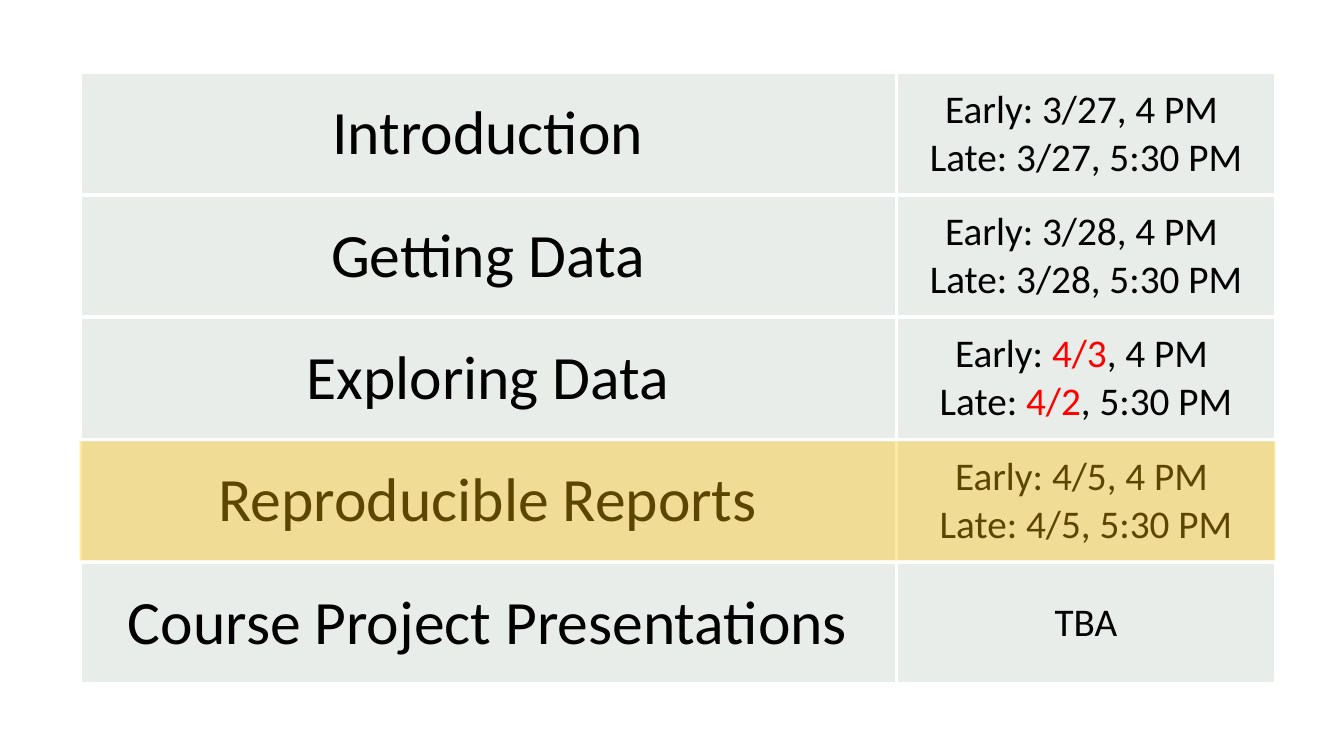
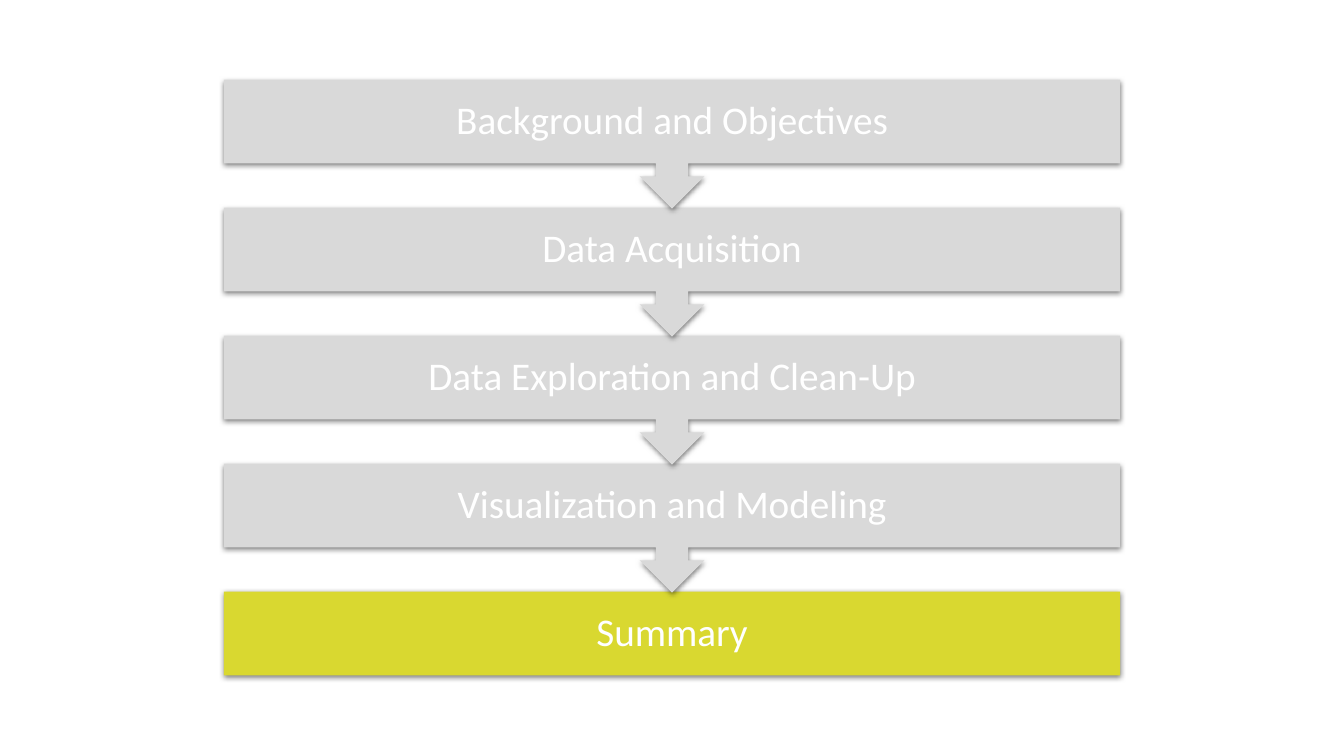
from lxml.etree import SubElement
from pptx import Presentation
from pptx.dml.color import RGBColor
from pptx.enum.shapes import MSO_SHAPE as Shape
from pptx.enum.text import MSO_ANCHOR as Anchor, PP_ALIGN as Align
from pptx.oxml import parse_xml
from pptx.oxml.ns import nsdecls, qn
from pptx.util import Pt

COLORS = {
    "text": "000000", "white": "FFFFFF", "changed": "FF0000", "cell": "E8EDE9",
    "highlight": "FFC000", "step": "D9D9D9", "current": "D9D830", "shadow": "000000",
}
FONT = "Calibri"
PX = 9144  # 100 px to the inch

# Text between asterisks is a changed date.
SCHEDULE = [
    ("Introduction", ["Early: 3/27, 4 PM ", "Late: 3/27, 5:30 PM"]),
    ("Getting Data", ["Early: 3/28, 4 PM ", "Late: 3/28, 5:30 PM"]),
    ("Exploring Data", ["Early: *4/3*, 4 PM ", "Late: *4/2*, 5:30 PM"]),
    ("Reproducible Reports", ["Early: 4/5, 4 PM ", "Late: 4/5, 5:30 PM"]),
    ("Course Project Presentations", ["TBA"]),
]
TABLE_LEFT, TABLE_TOP, TABLE_HEIGHT = 79, 72, 607
COLUMN_WIDTHS = (810, 376)
BAND_TOP, BAND_HEIGHT = 438, 118

STEPS = [
    "Background and Objectives", "Data Acquisition", "Data Exploration and Clean-Up",
    "Visualization and Modeling", "Summary",
]
STEP_LEFT, STEP_TOP, STEP_WIDTH, STEP_PITCH = 222, 79, 889, 127
BOX_HEIGHT, CALLOUT_HEIGHT, STEP_INSET = 83, 128, 22


def px(*lengths):
    return [round(length * PX) for length in lengths]


def rgb(name):
    return RGBColor.from_string(COLORS[name])


def write(frame, lines, size, color="text", line_spacing=None):
    """Put centred lines in a text frame, with the marked parts in the changed colour."""
    for number, line in enumerate(lines):
        para = frame.paragraphs[0] if number == 0 else frame.add_paragraph()
        para.alignment = Align.CENTER
        para.line_spacing = line_spacing
        for index, part in enumerate(line.split("*")):
            span = para.add_run()
            span.text = part
            span.font.name, span.font.size = FONT, Pt(size)
            span.font.color.rgb = rgb("changed" if index % 2 else color)


def add_block(page, kind, place, color):
    block = page.shapes.add_shape(kind, *px(*place))
    block.shadow.inherit = False
    block.fill.solid()
    block.fill.fore_color.rgb = rgb(color)
    block.line.fill.background()
    return block


def set_borders(cell, sides, width=3):
    properties = cell._tc.get_or_add_tcPr()
    for index, side in enumerate(sides):
        properties.insert(index, parse_xml(
            f'<a:ln{side} {nsdecls("a")} w="{Pt(width)}"><a:solidFill>'
            f'<a:srgbClr val="{COLORS["white"]}"/></a:solidFill></a:ln{side}>'))


def set_opacity(shape, percent):
    color = shape.fill._xPr.find(qn("a:solidFill"))[0]
    SubElement(color, qn("a:alpha"), val=str(percent * 1000))


def add_shadow(shape):
    effects = shape._element.spPr.find(qn("a:effectLst"))
    effects.append(parse_xml(
        f'<a:outerShdw {nsdecls("a")} blurRad="{Pt(4)}" dist="{Pt(1)}" dir="5400000" '
        f'rotWithShape="0"><a:srgbClr val="{COLORS["shadow"]}">'
        f'<a:alpha val="50000"/></a:srgbClr></a:outerShdw>'))


def build_schedule(page):
    width = sum(COLUMN_WIDTHS)
    table = page.shapes.add_table(
        len(SCHEDULE), len(COLUMN_WIDTHS),
        *px(TABLE_LEFT, TABLE_TOP, width, TABLE_HEIGHT)).table
    table.first_row = table.horz_banding = False
    for column, column_width in zip(table.columns, px(*COLUMN_WIDTHS)):
        column.width = column_width
    for row, (topic, times) in zip(table.rows, SCHEDULE):
        row.height = px(TABLE_HEIGHT / len(SCHEDULE))[0]
        for cell, lines, size in zip(row.cells, ([topic], times), (44, 28)):
            cell.vertical_anchor = Anchor.MIDDLE
            cell.fill.solid()
            cell.fill.fore_color.rgb = rgb("cell")
            set_borders(cell, "LRTB")
            write(cell.text_frame, lines, size)
    band = add_block(page, Shape.RECTANGLE,
                     (TABLE_LEFT, BAND_TOP, width, BAND_HEIGHT), "highlight")
    set_opacity(band, 36)


def build_steps(page):
    last = len(STEPS) - 1
    # From the bottom up, so that each arrow tip lies over the next box.
    for number in range(last, -1, -1):
        if number == last:
            kind, height, color = Shape.RECTANGLE, BOX_HEIGHT, "current"
        else:
            kind, height, color = Shape.DOWN_ARROW_CALLOUT, CALLOUT_HEIGHT, "step"
        top = STEP_TOP + number * STEP_PITCH
        step = add_block(page, kind, (STEP_LEFT, top, STEP_WIDTH, height), color)
        add_shadow(step)
        frame = step.text_frame
        frame.word_wrap = True
        frame.vertical_anchor = Anchor.MIDDLE
        (frame.margin_left, frame.margin_top,
         frame.margin_right, frame.margin_bottom) = px(*[STEP_INSET] * 4)
        write(frame, [STEPS[number]], 28, "white", line_spacing=0.9)


def main():
    deck = Presentation()
    deck.slide_width, deck.slide_height = px(1333, 750)
    for build in (build_schedule, build_steps):
        build(deck.slides.add_slide(deck.slide_layouts[6]))
    deck.save("out.pptx")


if __name__ == "__main__":
    main()
